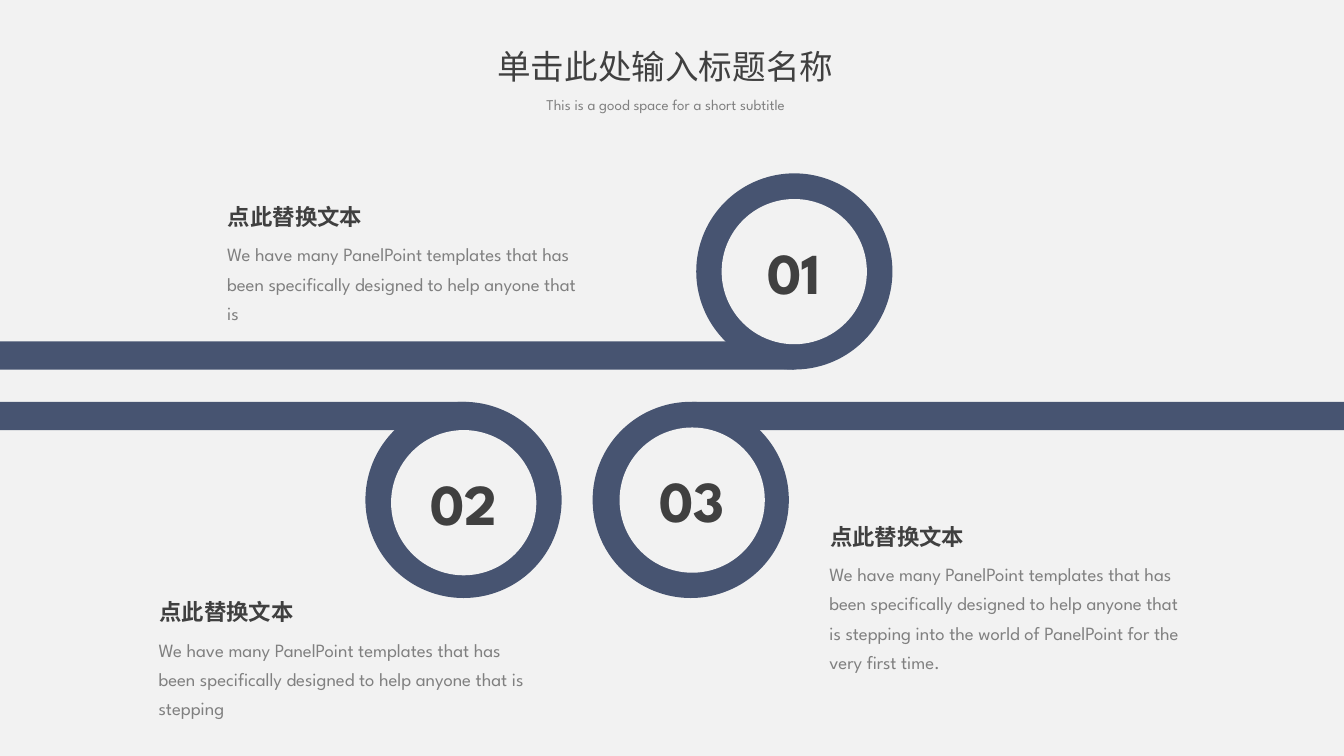
"""Build a slide with three numbered rings on bars and a caption for each."""
from dataclasses import dataclass

from lxml import etree
from pptx import Presentation
from pptx.dml.color import RGBColor
from pptx.enum.shapes import MSO_SHAPE
from pptx.enum.text import MSO_ANCHOR, MSO_AUTO_SIZE, PP_ALIGN
from pptx.oxml.ns import qn
from pptx.util import Pt

NAVY = RGBColor(0x47, 0x54, 0x71)
PALE = RGBColor(0xF2, 0xF2, 0xF2)
DARK = RGBColor(0x40, 0x40, 0x40)
GRAY = RGBColor(0x80, 0x80, 0x80)
RECT, OVAL = MSO_SHAPE.RECTANGLE, MSO_SHAPE.OVAL
LEFT, CENTER = PP_ALIGN.LEFT, PP_ALIGN.CENTER
MIDDLE, GROW = MSO_ANCHOR.MIDDLE, MSO_AUTO_SIZE.SHAPE_TO_FIT_TEXT
LATIN, CJK = "League Spartan", "Noto Sans CJK SC"
WIDTH, HEIGHT = 720, 405
RING, HOLE, BAR = 105.1, 77.8, 15.1
HEADING = "点此替换文本"
BODY = "We have many PanelPoint templates that has been specifically designed to help anyone that is"
CAPTION_INSETS = (5.8, 2.9, 5.8, 2.9)
TITLE_INSETS = (0, 3.6, 7.2, 3.6)


@dataclass(frozen=True)
class Station:
    number: str
    bar: tuple[float, float, float]
    ring: tuple[float, float]
    hole: tuple[float, float]
    body: tuple[float, float, float, float]
    ending: str


STATIONS = (
    Station("02", (0, 215.3, 249.8), (195.8, 215.3), (209.5, 230.4),
            (79.2, 335.5, 208.1, 52.6), " stepping"),
    Station("01", (0, 182.9, 425.5), (373, 92.9), (386.6, 106.6),
            (115.9, 123.8, 205.2, 52.6), ""),
    Station("03", (370.8, 215.3, 349.2), (317.5, 215.3), (331.9, 229),
            (438.5, 295.2, 205.2, 84.2),
            " stepping into the world of PanelPoint for the very first time."),
)


def add_solid(s, kind, x: float, y: float, w: float, h: float, color: RGBColor):
    """Draw a filled shape with no line."""
    sp = s.shapes.add_shape(kind, Pt(x), Pt(y), Pt(w), Pt(h))
    sp.shadow.inherit = False
    sp.fill.solid()
    sp.fill.fore_color.rgb = color
    sp.line.fill.background()
    return sp


def write(tf, text: str, size: float, color: RGBColor, insets: tuple,
          align=LEFT, bold: bool = False, font: str = LATIN) -> None:
    """Fill a text frame with one run."""
    tf.margin_left, tf.margin_top, tf.margin_right, tf.margin_bottom = map(Pt, insets)
    p = tf.paragraphs[0]
    p.alignment = align
    r = p.add_run()
    r.text = text
    r.font.size = Pt(size)
    r.font.bold = bold
    r.font.color.rgb = color
    r.font.name = font
    etree.SubElement(r._r.get_or_add_rPr(), qn("a:ea"), typeface=CJK)


def add_text(s, box: tuple, wrap: bool = False):
    """Add a text box that grows with its text."""
    tf = s.shapes.add_textbox(*map(Pt, box)).text_frame
    tf.word_wrap = wrap
    tf.auto_size = GROW
    return tf


def add_station(s, st: Station) -> None:
    """Draw a bar with its numbered ring."""
    x, y, w = st.bar
    add_solid(s, RECT, x, y, w, BAR, NAVY)
    add_solid(s, OVAL, *st.ring, RING, RING, NAVY)
    tf = add_solid(s, OVAL, *st.hole, HOLE, HOLE, PALE).text_frame
    tf.vertical_anchor = MIDDLE
    write(tf, st.number, 31, DARK, (7.2, 2.9, 7.2, 3.6), CENTER, True)


def add_caption(s, st: Station) -> None:
    """Write the heading and body of a station."""
    x, y = st.body[:2]
    tf = add_text(s, st.body, True)
    write(tf, BODY + st.ending, 10, GRAY, CAPTION_INSETS)
    tf.paragraphs[0].line_spacing = 1.3
    write(add_text(s, (x + 0.4, y - 18, 86.4, 20.2)), HEADING, 12, DARK,
          CAPTION_INSETS, bold=True)


def main() -> None:
    """Build and save the slide."""
    prs = Presentation()
    prs.slide_width, prs.slide_height = Pt(WIDTH), Pt(HEIGHT)
    s = prs.slides.add_slide(prs.slide_layouts[6])
    s.background.fill.solid()
    s.background.fill.fore_color.rgb = PALE
    for st in STATIONS:
        add_station(s, st)
    for st in STATIONS:
        add_caption(s, st)
    write(add_text(s, (262.8, 20.9, 194.4, 28.8)), "单击此处输入标题名称", 18, DARK,
          TITLE_INSETS, CENTER, font=CJK)
    write(add_text(s, (281.5, 47.5, 157.7, 17.3)),
          "This is a good space for a short subtitle", 8, GRAY, TITLE_INSETS, CENTER)
    prs.save("out.pptx")


if __name__ == "__main__":
    main()
